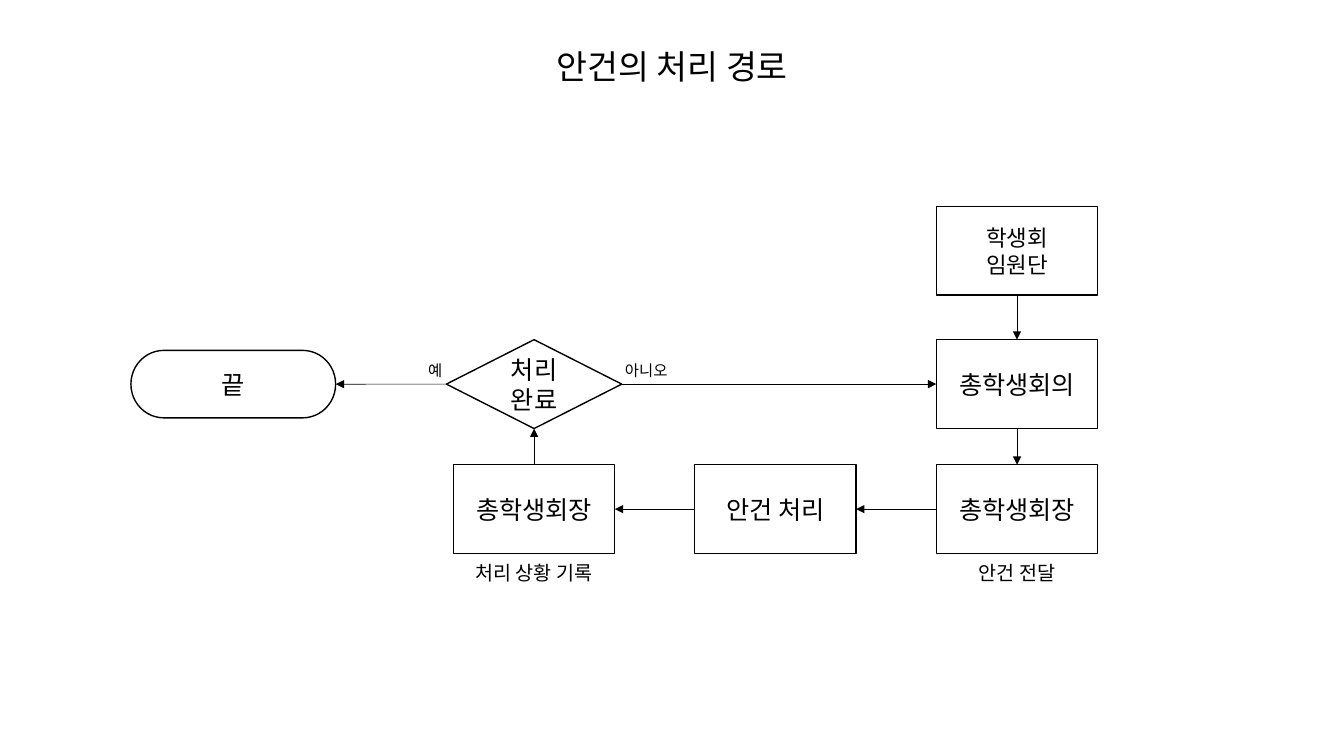
"""Build a flowchart slide showing how agenda items are processed."""
from lxml.etree import SubElement
from pptx import Presentation
from pptx.dml.color import RGBColor
from pptx.enum.shapes import MSO_CONNECTOR, MSO_SHAPE
from pptx.enum.text import MSO_ANCHOR, MSO_AUTO_SIZE, PP_ALIGN
from pptx.oxml.ns import qn
from pptx.util import Cm, Pt

BLACK = RGBColor(0, 0, 0)
WHITE = RGBColor(255, 255, 255)
FONT = "Noto Sans CJK KR"
TOP, LEFT, BOTTOM, RIGHT = range(4)


def write(frame, text, size, alignment=PP_ALIGN.CENTER):
    frame.text = text
    for paragraph in frame.paragraphs:
        paragraph.alignment = alignment
        font = paragraph.font
        font.name, font.size = FONT, Pt(size)
        font.color.rgb = BLACK
        properties = next(paragraph._p.iter(qn("a:defRPr")))
        SubElement(properties, qn("a:ea"), typeface=FONT)


presentation = Presentation()
presentation.slide_width, presentation.slide_height = Cm(33.87), Cm(19.05)
slide = presentation.slides.add_slide(presentation.slide_layouts[6])

end_x, record_x, process_x, council_x = 5.88, 13.46, 19.54, 25.63
start_y, decision_y, action_y = 6.32, 9.68, 12.83
BOX = (MSO_SHAPE.RECTANGLE, 4.07, 2.24)
DECISION = (MSO_SHAPE.FLOWCHART_DECISION, 4.42, 2.24)
TERMINATOR = (MSO_SHAPE.FLOWCHART_TERMINATOR, 5.16, 1.7)

steps = {
    "officers": (BOX, council_x, start_y, "학생회\n임원단", 16),
    "council": (BOX, council_x, decision_y, "총학생회의", 18),
    "president": (BOX, council_x, action_y, "총학생회장", 18),
    "process": (BOX, process_x, action_y, "안건 처리", 18),
    "record": (BOX, record_x, action_y, "총학생회장", 18),
    "decision": (DECISION, record_x, decision_y, "처리 완료", 18),
    "end": (TERMINATOR, end_x, decision_y, "끝", 18),
}
nodes = {}
for name, ((kind, width, height), x, y, text, size) in steps.items():
    shape = slide.shapes.add_shape(
        kind, Cm(x - width / 2), Cm(y - height / 2), Cm(width), Cm(height))
    shape.shadow.inherit = False
    if kind == MSO_SHAPE.RECTANGLE:
        shape.fill.solid()
        shape.fill.fore_color.rgb = WHITE
    else:
        shape.fill.background()
    shape.line.color.rgb = BLACK
    shape.line.width = Pt(1)
    shape.text_frame.vertical_anchor = MSO_ANCHOR.MIDDLE
    write(shape.text_frame, text, size)
    nodes[name] = shape

arrows = [
    ("officers", BOTTOM, "council", TOP),
    ("council", BOTTOM, "president", TOP),
    ("president", LEFT, "process", RIGHT),
    ("process", LEFT, "record", RIGHT),
    ("record", TOP, "decision", BOTTOM),
    ("decision", LEFT, "end", RIGHT),
    ("decision", RIGHT, "council", LEFT),
]
for source, source_side, target, target_side in arrows:
    arrow = slide.shapes.add_connector(MSO_CONNECTOR.STRAIGHT, 0, 0, 0, 0)
    arrow.begin_connect(nodes[source], source_side)
    arrow.end_connect(nodes[target], target_side)
    arrow.line.color.rgb = BLACK
    arrow.line.width = Pt(0.5)
    SubElement(arrow.line._get_or_add_ln(), qn("a:tailEnd"), type="triangle")
    SubElement(arrow._element.spPr, qn("a:effectLst"))

labels = [
    ("안건의 처리 경로", 13.64, 1.02, 6.6, 1.27, 24, PP_ALIGN.CENTER),
    ("안건 전달", 24.37, 14, 2.52, 0.86, 14, PP_ALIGN.CENTER),
    ("처리 상황 기록", 11.66, 14, 3.6, 0.86, 14, PP_ALIGN.CENTER),
    ("예", 10.54, 8.97, 0.89, 0.73, 11, PP_ALIGN.LEFT),
    ("아니오", 15.5, 8.97, 1.62, 0.73, 11, PP_ALIGN.LEFT),
]
for text, left, top, width, height, size, alignment in labels:
    label = slide.shapes.add_textbox(Cm(left), Cm(top), Cm(width), Cm(height))
    label.text_frame.word_wrap = False
    label.text_frame.auto_size = MSO_AUTO_SIZE.SHAPE_TO_FIT_TEXT
    write(label.text_frame, text, size, alignment)

presentation.save("out.pptx")
